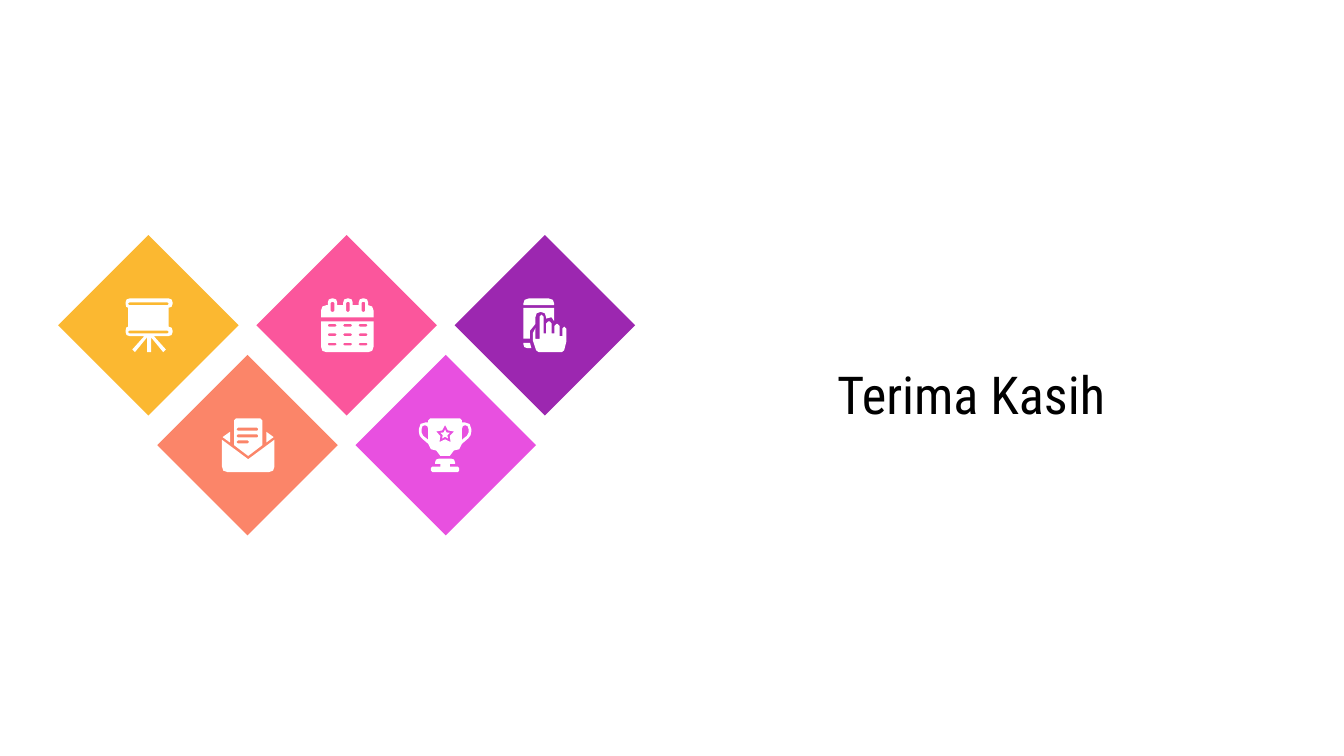
from dataclasses import dataclass
from math import cos, hypot, pi, sin

from pptx import Presentation
from pptx.dml.color import RGBColor
from pptx.enum.shapes import MSO_SHAPE
from pptx.enum.text import MSO_ANCHOR, MSO_AUTO_SIZE, PP_ALIGN
from pptx.util import Pt

RECTANGLE = MSO_SHAPE.RECTANGLE
MIDDLE = MSO_ANCHOR.MIDDLE
NO_AUTOFIT = MSO_AUTO_SIZE.NONE
CENTER = PP_ALIGN.CENTER

GRID = 0.72
ICON_HALF = 20
DIAMOND_SIDE = 68.4
FIRST_CENTER = 79.5
CENTER_STEP = 53.1
ROW_CENTERS = (174.3, 238.5)


@dataclass(frozen=True)
class Theme:
    """Colours, font and type size of the deck."""
    diamonds: tuple = ("FBB831", "FB8569", "FB569C", "E850E0", "9C27B0")
    icon: str = "FFFFFF"
    text: str = "000000"
    font: str = "Roboto Condensed"
    title_size: float = 28


def rounded_box(x, y, width, height, radius=0.8):
    """Return the corners of a box as (x, y, radius)."""
    right, bottom = x + width, y + height
    return [(x, y, radius), (right, y, radius), (right, bottom, radius), (x, bottom, radius)]


def star(x, y, outer, inner):
    """Return the corners of a five-pointed star."""
    corners = []
    for index in range(10):
        radius = inner if index % 2 else outer
        angle = index * pi / 5
        corners.append((x + radius * sin(angle), y - radius * cos(angle)))
    return corners


def mirrored(corners, width):
    """Return the corners flipped left to right."""
    return [(width - x, y, *radius) for x, y, *radius in corners]


def softened(corners):
    """Return outline points with small corners cut and large ones rounded."""
    points = []
    for index, (x, y, *radius) in enumerate(corners):
        if not radius:
            points.append((x, y))
            continue
        ends = []
        for neighbour in (corners[index - 1], corners[(index + 1) % len(corners)]):
            dx, dy = neighbour[0] - x, neighbour[1] - y
            share = min(radius[0] / hypot(dx, dy), 1)
            ends.append((x + dx * share, y + dy * share))
        (start_x, start_y), (end_x, end_y) = ends
        points.append((start_x, start_y))
        if radius[0] >= 2:
            points.append(((start_x + 2 * x + end_x) / 4, (start_y + 2 * y + end_y) / 4))
        points.append((end_x, end_y))
    return points


def board_icon():
    """Return the parts of the presentation board."""
    outline = [(3, 0, 3), (38, 0, 3), (38, 7, 3), (35, 7), (35, 21), (38, 21, 3),
               (38, 28, 3), (24, 28), (33, 38), (31, 40), (22, 29), (22, 40),
               (19, 40), (19, 29), (10, 40), (8, 38), (17, 28), (3, 28, 3),
               (3, 21, 3), (5, 21), (5, 7), (3, 7, 3)]
    return [[outline] + [rounded_box(5, y, 30, 2) for y in (3, 24)]]


def envelope_icon():
    """Return the parts of the open envelope with a letter."""
    body = [(1, 16), (20.5, 30.5), (40, 16), (40, 40, 4), (1, 40, 4)]
    flap = [(7, 10), (1.5, 14), (7, 18)]
    letter = [(10, 0, 1.5), (31, 0, 1.5), (31, 20), (20.5, 28), (10, 20)]
    lines = [rounded_box(12, y, width, 2.2) for y, width in ((7, 16), (12, 16), (16.5, 9))]
    return [[body], [flap], [mirrored(flap, 41)], [letter, *lines]]


def calendar_icon():
    """Return the parts of the calendar."""
    columns = [6 + 11.5 * index for index in range(3)]
    body = [(1, 17), (40, 17), (40, 40, 4), (1, 40, 4)]
    days = [rounded_box(x, y, 6.5, 2) for y in (19, 26, 33) for x in columns]
    header = [(40, 14), (1, 14), (1, 5, 4)]
    for x in columns:
        header += [(x, 5), (x, 0, 3), (x + 7, 0, 3), (x + 7, 5)]
    header.append((40, 5, 4))
    slots = [rounded_box(x + 2.2, 2.5, 2.6, 7.5) for x in columns]
    return [[body, *days], [header, *slots]]


def trophy_icon():
    """Return the parts of the trophy."""
    half = [(7, 0, 1.5), (7, 3), (0, 3, 5), (0, 13, 3), (7, 19), (9, 23), (13, 24), (16, 28)]
    cup = half + mirrored(half, 39)[::-1]
    handle = [(2, 5, 3), (7, 5, 3), (7, 16), (2, 12, 1.5)]
    half_base = [(12, 30, 3), (12, 34), (16, 34), (16, 36), (9, 36, 1), (9, 40, 1)]
    base = half_base + mirrored(half_base, 39)[::-1]
    return [[cup, handle, mirrored(handle, 39), star(19.5, 12, 7, 3.7)],
            [base], [star(19.5, 12, 3.7, 1.8)]]


def phone_icon():
    """Return the parts of the phone with a tapping hand."""
    foot = [(4, 33), (9, 33), (10, 37), (4, 37, 3)]
    screen = [(4, 7), (27, 7), (27, 17), (25, 14), (21, 15), (21, 10, 4), (13, 10, 4),
              (13, 19), (9, 24), (9, 30), (4, 30)]
    top = [(4, 0, 4), (27, 0, 4), (27, 5), (4, 5)]
    hand = [(16, 12, 1.5), (19, 12, 1.5), (19, 26), (21, 26), (21, 17, 1.5), (25, 17, 1.5),
            (25, 26), (27, 26), (27, 19, 1.5), (31, 19, 1.5), (31, 28), (33, 28),
            (33, 21, 1.5), (36, 21, 1.5), (36, 32), (34, 40, 1.5), (14, 40, 1.5), (11, 31),
            (11, 26), (13, 22), (13, 30), (16, 30)]
    return [[foot], [screen], [top], [hand]]


class SlideBuilder:
    """Holds the theme and the current slide."""

    def __init__(self, slide, theme):
        self.slide = slide
        self.theme = theme

    def paint(self, shape, color):
        """Give a shape a flat fill without line or shadow."""
        shape.fill.solid()
        shape.fill.fore_color.rgb = RGBColor.from_string(color)
        shape.line.fill.background()
        shape.shadow.inherit = False

    def title(self, text, left, top, width, height):
        """Place and format the title."""
        box = self.slide.shapes.title
        box.left, box.top, box.width, box.height = Pt(left), Pt(top), Pt(width), Pt(height)
        frame = box.text_frame
        frame.text = text
        frame.auto_size = NO_AUTOFIT
        frame.vertical_anchor = MIDDLE
        frame.margin_left = frame.margin_right = Pt(7.2)
        frame.margin_top = frame.margin_bottom = Pt(7.2)
        paragraph = frame.paragraphs[0]
        paragraph.alignment = CENTER
        paragraph.font.name = self.theme.font
        paragraph.font.size = Pt(self.theme.title_size)
        paragraph.font.color.rgb = RGBColor.from_string(self.theme.text)

    def diamond(self, center_x, center_y, color):
        """Add a square turned onto its corner."""
        half = DIAMOND_SIDE / 2
        square = self.slide.shapes.add_shape(
            RECTANGLE, Pt(center_x - half), Pt(center_y - half),
            Pt(DIAMOND_SIDE), Pt(DIAMOND_SIDE))
        square.rotation = 45
        self.paint(square, color)

    def icon(self, center_x, center_y, parts):
        """Add each icon part as one outline with its holes."""
        origin = [Pt(center - ICON_HALF * GRID) for center in (center_x, center_y)]
        for loops in parts:
            builder = None
            for corners in loops:
                points = [(Pt(x * GRID), Pt(y * GRID)) for x, y in softened(corners)]
                if builder is None:
                    builder = self.slide.shapes.build_freeform(*points[0])
                else:
                    builder.move_to(*points[0])
                builder.add_line_segments(points[1:], close=True)
            self.paint(builder.convert_to_shape(*origin), self.theme.icon)


def main():
    """Build the closing slide."""
    deck = Presentation()
    deck.slide_width, deck.slide_height = Pt(720), Pt(405)
    theme = Theme()
    page = SlideBuilder(deck.slides.add_slide(deck.slide_layouts[5]), theme)
    page.title("Terima Kasih", 216, 191.5, 608.4, 38.2)
    icons = (board_icon, envelope_icon, calendar_icon, trophy_icon, phone_icon)
    for index, (color, make_icon) in enumerate(zip(theme.diamonds, icons)):
        center = FIRST_CENTER + index * CENTER_STEP, ROW_CENTERS[index % 2]
        page.diamond(*center, color)
        page.icon(*center, make_icon())
    deck.save("out.pptx")


if __name__ == "__main__":
    main()
